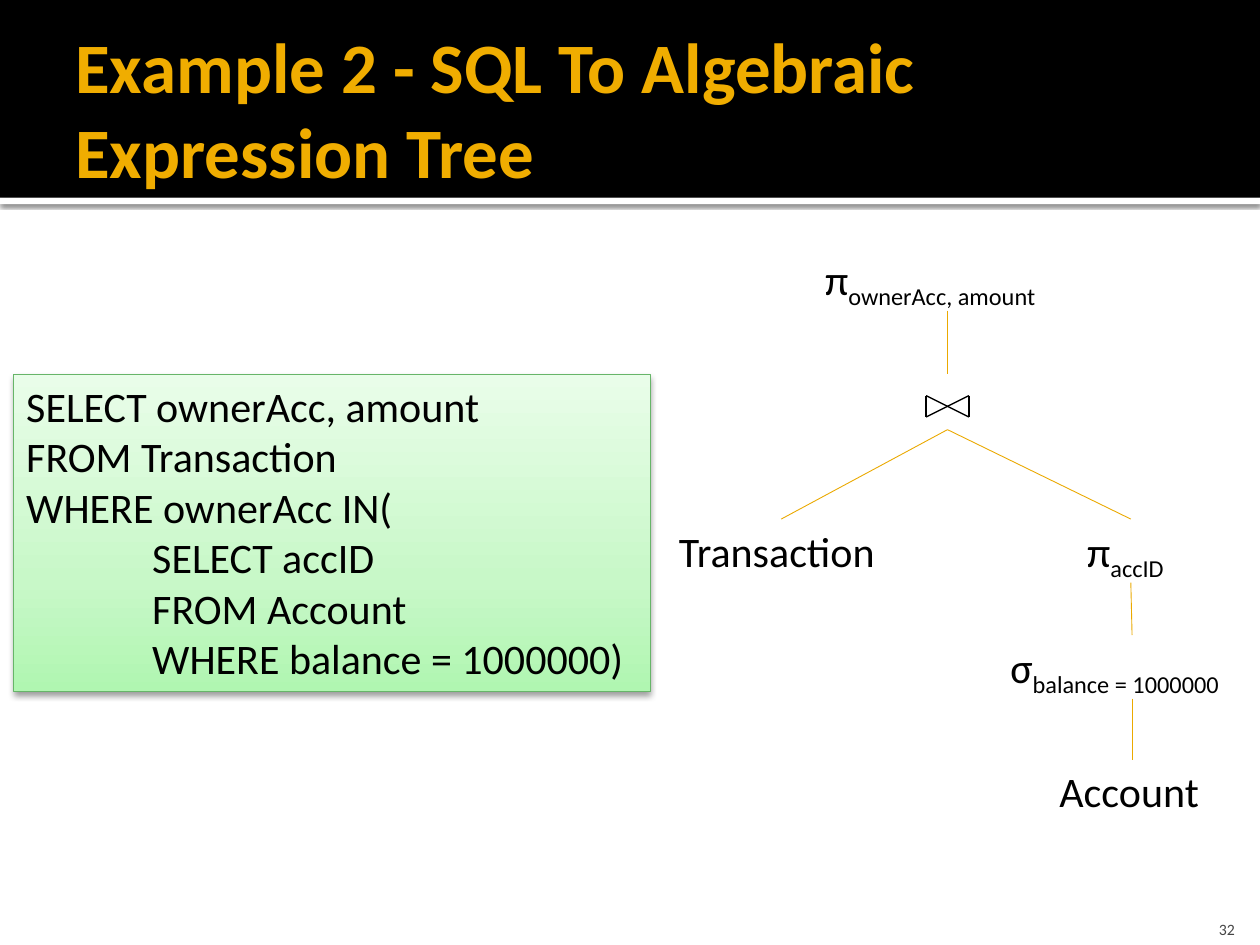
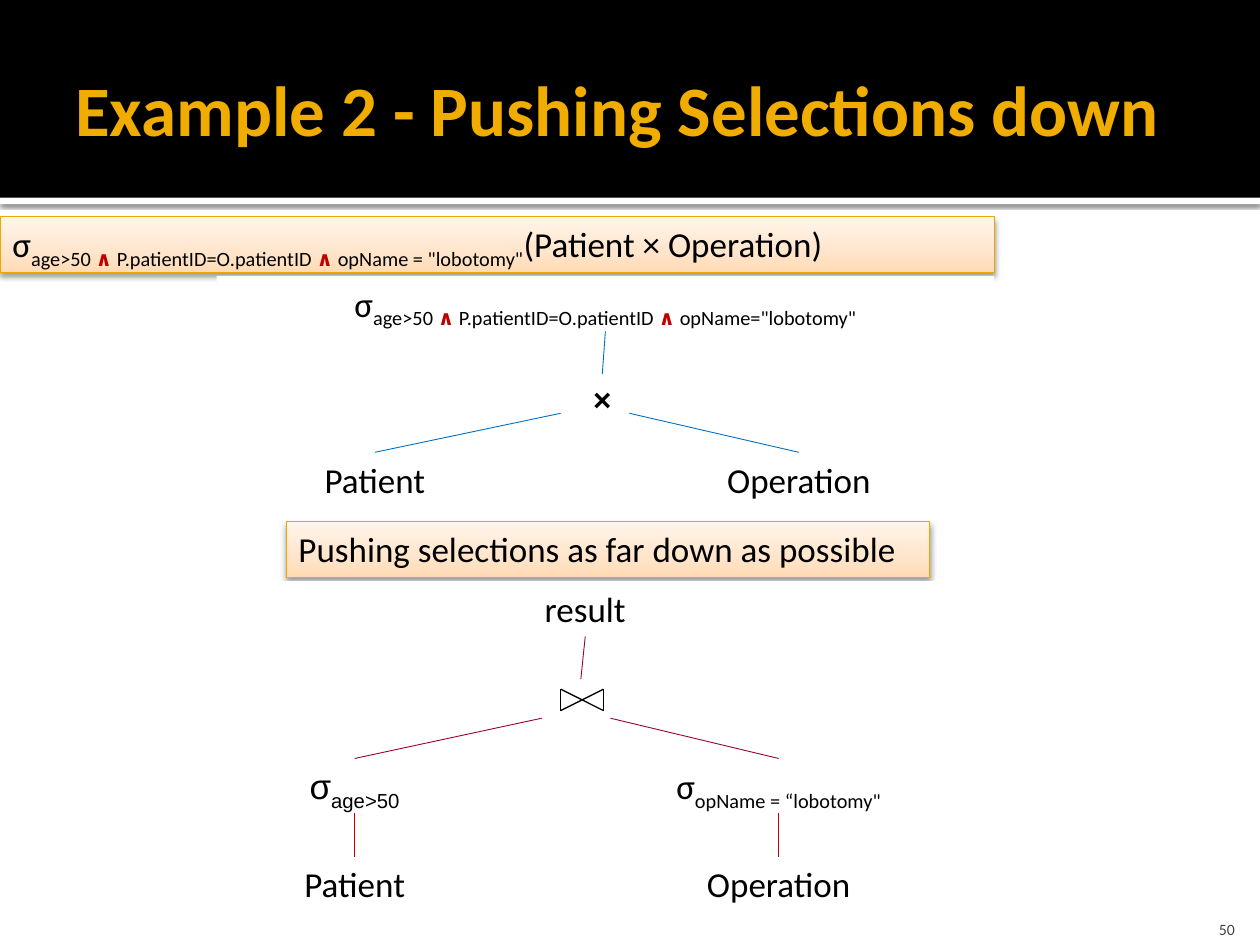
import dataclasses

import lxml.etree
import pptx
import pptx.dml.color
import pptx.enum.shapes
import pptx.enum.text
import pptx.oxml.ns
import pptx.util

qn = pptx.oxml.ns.qn
RECT = pptx.enum.shapes.MSO_SHAPE.RECTANGLE
ALIGN = pptx.enum.text.PP_ALIGN
ANCHOR = pptx.enum.text.MSO_ANCHOR
TOP, BOTTOM = 0, 2


@dataclasses.dataclass(frozen=True)
class Theme:
    """Colours, fonts, type sizes and line widths of the deck."""
    font: str = "Calibri"
    symbol_font: str = "Arial"
    black: str = "000000"
    white: str = "FFFFFF"
    title: str = "F0AD00"
    page: str = "454545"
    gold: str = "EBA900"
    green: str = "67B569"
    blue: str = "0070C0"
    wine: str = "990033"
    red: str = "C00000"
    green_stops: tuple = ((0, "B0F6B1"), (35, "C8F8C8"), (100, "E9FDE9"))
    orange_stops: tuple = ((0, "FFDBB5"), (35, "FFE5CB"), (100, "FFF5EB"))
    title_size: float = 40.5
    large: float = 24
    medium: float = 20
    small: float = 18
    page_size: float = 9
    thin: float = 0.5
    symbol_line: float = 0.75


THEME = Theme()
COLS, ROWS = 100, 75
WIDTH, HEIGHT = pptx.util.Inches(10), pptx.util.Inches(7.5)


def grid(col, row):
    """Convert a column and a row of the slide grid to lengths."""
    return round(col * WIDTH / COLS), round(row * HEIGHT / ROWS)


def rgb(value):
    """Return a colour object for a hex value."""
    return pptx.dml.color.RGBColor.from_string(value)


def sub(text, **fmt):
    """Return a subscript run."""
    return text, {"baseline": -25, **fmt}


def conjunction():
    """Return the highlighted logical-and subscript run."""
    return sub("∧ ", color=THEME.red, bold=True)


def selection(op_name):
    """Return the runs of the full selection, ending in the given condition."""
    return [("σ", {}), sub("age>50 "), conjunction(),
            sub("P.patientID=O.patientID "), conjunction(), sub(op_name)]


def write(sp, lines, size=THEME.medium, font=THEME.font, color=THEME.black, bold=False,
          align=ALIGN.LEFT, anchor=ANCHOR.TOP, wrap=True, grow=True,
          insets=(0.1, 0.05, 0.1, 0.05)):
    """Write (indent, runs) lines into a shape; plain text makes one line."""
    tf = sp.text_frame
    tf.word_wrap = wrap
    tf.vertical_anchor = anchor
    fit = pptx.enum.text.MSO_AUTO_SIZE
    tf.auto_size = fit.SHAPE_TO_FIT_TEXT if grow else fit.NONE
    tf.margin_left, tf.margin_top, tf.margin_right, tf.margin_bottom = map(pptx.util.Inches, insets)
    if isinstance(lines, str):
        lines = [(0, [(lines, {})])]
    for i, (indent, runs) in enumerate(lines):
        p = tf.add_paragraph() if i else tf.paragraphs[0]
        p.alignment = align
        if indent:
            p._p.get_or_add_pPr().set("marL", str(pptx.util.Inches(indent)))
        for text, fmt in runs:
            r = p.add_run()
            r.text = text
            r.font.name = font
            r.font.size = pptx.util.Pt(size)
            r.font.bold = fmt.get("bold", bold)
            r.font.color.rgb = rgb(fmt.get("color", color))
            if "baseline" in fmt:
                r._r.get_or_add_rPr().set("baseline", str(fmt["baseline"] * 1000))
    return sp


def rect(slide, box, fill=THEME.white):
    """Add a plain rectangle on the grid."""
    sp = slide.shapes.add_shape(RECT, *grid(*box[:2]), *grid(*box[2:]))
    sp.shadow.inherit = False
    sp.fill.solid()
    sp.fill.fore_color.rgb = rgb(fill)
    sp.line.fill.background()
    return sp


def text_box(slide, box, lines, **fmt):
    """Add a text box on the grid."""
    sp = slide.shapes.add_textbox(*grid(*box[:2]), *grid(*box[2:]))
    return write(sp, lines, **fmt)


def add_color(parent, value, alpha=None):
    """Append a colour element with optional opacity in percent."""
    clr = lxml.etree.SubElement(parent, qn("a:srgbClr"), val=value)
    if alpha is not None:
        lxml.etree.SubElement(clr, qn("a:alpha"), val=str(alpha * 1000))


def drop_shadow(sp, alpha, blur, dist):
    """Give a shape a black shadow straight below it."""
    effects = sp._element.spPr.find(qn("a:effectLst"))
    shadow = lxml.etree.SubElement(
        effects, qn("a:outerShdw"), blurRad=str(pptx.util.Pt(blur)),
        dist=str(pptx.util.Pt(dist)), dir="5400000", rotWithShape="0")
    add_color(shadow, THEME.black, alpha)


def panel(slide, box, lines, stops, outline, **fmt):
    """Add a shaded, outlined panel holding text."""
    sp = rect(slide, box)
    sp.fill.gradient()
    sp.fill.gradient_angle = 90
    gs_list = sp._element.spPr.find(".//" + qn("a:gsLst"))
    for gs in list(gs_list):
        gs_list.remove(gs)
    for pos, value in stops:
        add_color(lxml.etree.SubElement(gs_list, qn("a:gs"), pos=str(pos * 1000)), value)
    sp.line.color.rgb = rgb(outline)
    sp.line.width = pptx.util.Pt(THEME.thin)
    drop_shadow(sp, 38, 3.5, 2)
    return write(sp, lines, **fmt)


def link(slide, start, end, color, width=THEME.thin):
    """Draw a line between ends that are grid points or (shape, site) pairs."""
    points = [(0, 0) if hasattr(e[0], "shape_id") else grid(*e) for e in (start, end)]
    c = slide.shapes.add_connector(pptx.enum.shapes.MSO_CONNECTOR.STRAIGHT, *points[0], *points[1])
    for e, connect in ((start, c.begin_connect), (end, c.end_connect)):
        if hasattr(e[0], "shape_id"):
            connect(*e)
    c.line.color.rgb = rgb(color)
    c.line.width = pptx.util.Pt(width)
    lxml.etree.SubElement(c._element.spPr, qn("a:effectLst"))


def join_symbol(slide, left, top):
    """Draw the bow-tie of a natural join."""
    right, bottom = left + 3.4, top + 1.7
    for start, end in (((left, top), (left, bottom)), ((right, top), (right, bottom)),
                       ((left, top), (right, bottom)), ((left, bottom), (right, top))):
        link(slide, start, end, THEME.black, THEME.symbol_line)


def new_slide(prs, title, number):
    """Add a slide with the title band, title and page number."""
    slide = prs.slides.add_slide(prs.slide_layouts[6])
    drop_shadow(rect(slide, (0, 15.7, COLS, 0.5)), 60, 2.5, 0.8)
    rect(slide, (0, 0, COLS, 15.7), THEME.black)
    text_box(slide, (5, 1.7, 90, 13.7), title, size=THEME.title_size, color=THEME.title,
             bold=True, anchor=ANCHOR.MIDDLE, grow=False, insets=(0.1, 0.05, 0.05, 0.05))
    text_box(slide, (91, 71.5, 8, 3), str(number), size=THEME.page_size, color=THEME.page,
             align=ALIGN.RIGHT, anchor=ANCHOR.BOTTOM, grow=False, insets=(0.1, 0.05, 0.1, 0))
    return slide


def sql_tree_slide(prs):
    """Build the query and its expression tree."""
    slide = new_slide(prs, "Example 2 - SQL To Algebraic Expression Tree", 32)

    def node(left, top, width, name, subscript=""):
        runs = [(name, {})] + ([sub(subscript)] if subscript else [])
        return write(rect(slide, (left, top, width, 5.05)), [(0, runs)],
                     size=THEME.large, wrap=False)

    project = node(64.5, 19.6, 21.4, "π", "ownerAcc, amount")
    join = rect(slide, (71.8, 29.7, 6.8, 4.4))
    transaction = node(52.9, 41.2, 18.2, "Transaction")
    account = node(83.1, 60.3, 13.5, "Account")
    account_id = node(85.3, 41.2, 8.9, "π", "accID")
    balance = node(79.2, 50.4, 21.3, "σ", "balance = 1000000")
    for parent, child in ((project, join), (join, transaction), (join, account_id),
                          (account_id, balance), (balance, account)):
        link(slide, (parent, BOTTOM), (child, TOP), THEME.gold)
    join_symbol(slide, 73.5, 31.4)

    query = [(0, "SELECT ownerAcc, amount"), (0, "FROM Transaction"),
             (0, "WHERE ownerAcc IN("), (1, "SELECT accID"), (1, "FROM Account"),
             (1, "WHERE balance = 1000000)")]
    panel(slide, (1.1, 29.7, 50.5, 25.2), [(indent, [(text, {})]) for indent, text in query],
          THEME.green_stops, THEME.green, size=THEME.large)


def pushing_slide(prs):
    """Build the trees before and after pushing selections down."""
    slide = new_slide(prs, "Example 2 - Pushing Selections down", 50)
    panel(slide, (22.7, 41.4, 51.1, 4.4), "Pushing selections as far down as possible",
          THEME.orange_stops, THEME.gold)
    panel(slide, (0, 17.2, 78.9, 4.4),
          [(0, selection('opName = "lobotomy"') + [("(Patient × Operation)", {})])],
          THEME.orange_stops, THEME.gold)

    def root(left, top, lines):
        return write(rect(slide, (left, top, 61.7, 4.4)), lines, align=ALIGN.CENTER)

    def leaf_pair(left, top, first, second, first_font=THEME.font):
        return (text_box(slide, (left, top, 15.7, 4.3), first, font=first_font,
                         align=ALIGN.CENTER),
                text_box(slide, (left + 28.9, top, 25.2, 4.3), second, align=ALIGN.CENTER))

    def branches(leaves, left, top, color):
        link(slide, (left, top), (leaves[0], TOP), color)
        link(slide, (left + 5.45, top), (leaves[1], TOP), color)

    result = root(15.6, 46.1, "result")
    join_symbol(slide, 44.5, 54.7)
    selections = leaf_pair(20.3, 60.2, [(0, [("σ", {}), sub("age>50")])],
                           [(0, [("σ", {}), sub("opName = “lobotomy\"")])], THEME.symbol_font)
    tables = leaf_pair(20.3, 68, "Patient", "Operation")
    link(slide, (result, BOTTOM), (46.1, 53.9), THEME.wine)
    branches(selections, 43, 57, THEME.wine)
    for chosen, table in zip(selections, tables):
        link(slide, (chosen, BOTTOM), (table, TOP), THEME.red)

    full = root(17.2, 21.9, [(0, selection('opName="lobotomy"'))])
    factors = leaf_pair(21.9, 35.9, "Patient", "Operation")
    product = text_box(slide, (46.1, 29.7, 3.4, 4), "×", size=THEME.small,
                       font=THEME.symbol_font, bold=True, wrap=False)
    link(slide, (full, BOTTOM), (product, TOP), THEME.blue)
    branches(factors, 44.5, 32.8, THEME.blue)


def main():
    """Build and save the presentation."""
    prs = pptx.Presentation()
    prs.slide_width, prs.slide_height = WIDTH, HEIGHT
    sql_tree_slide(prs)
    pushing_slide(prs)
    prs.save("out.pptx")


if __name__ == "__main__":
    main()
